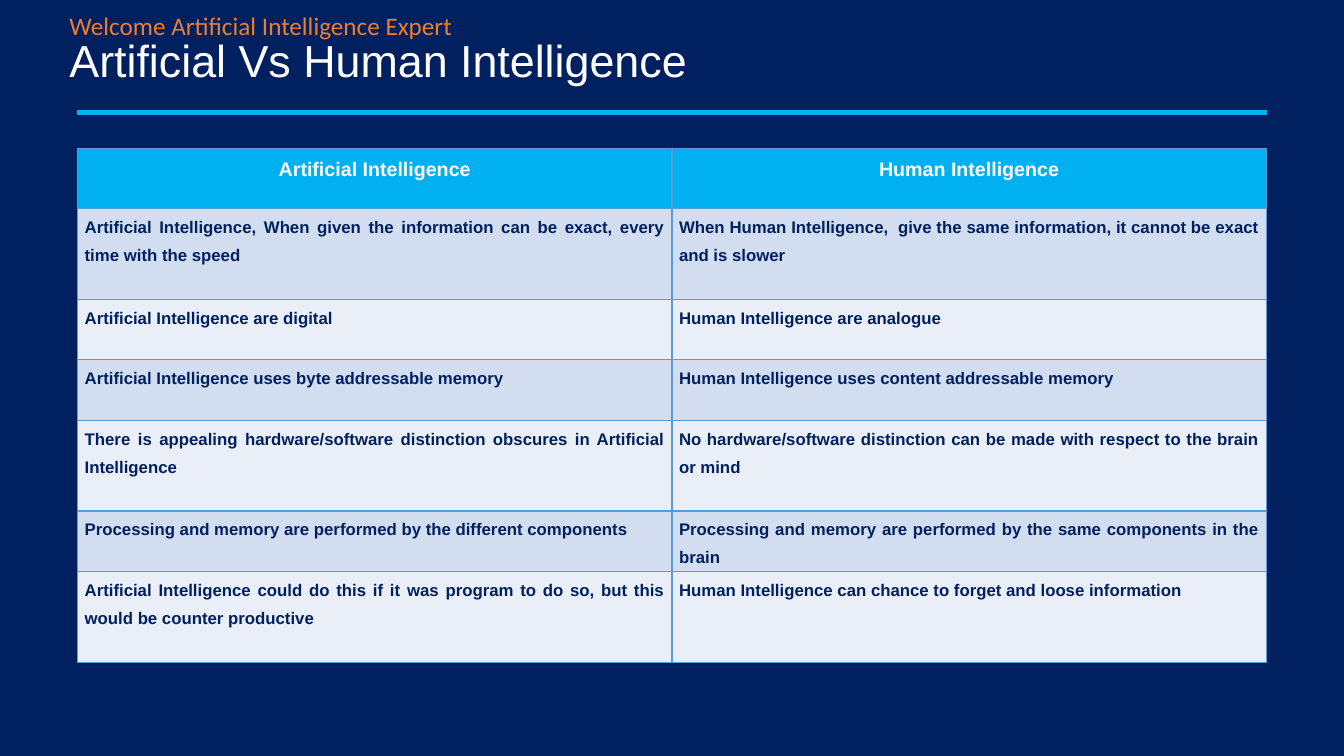
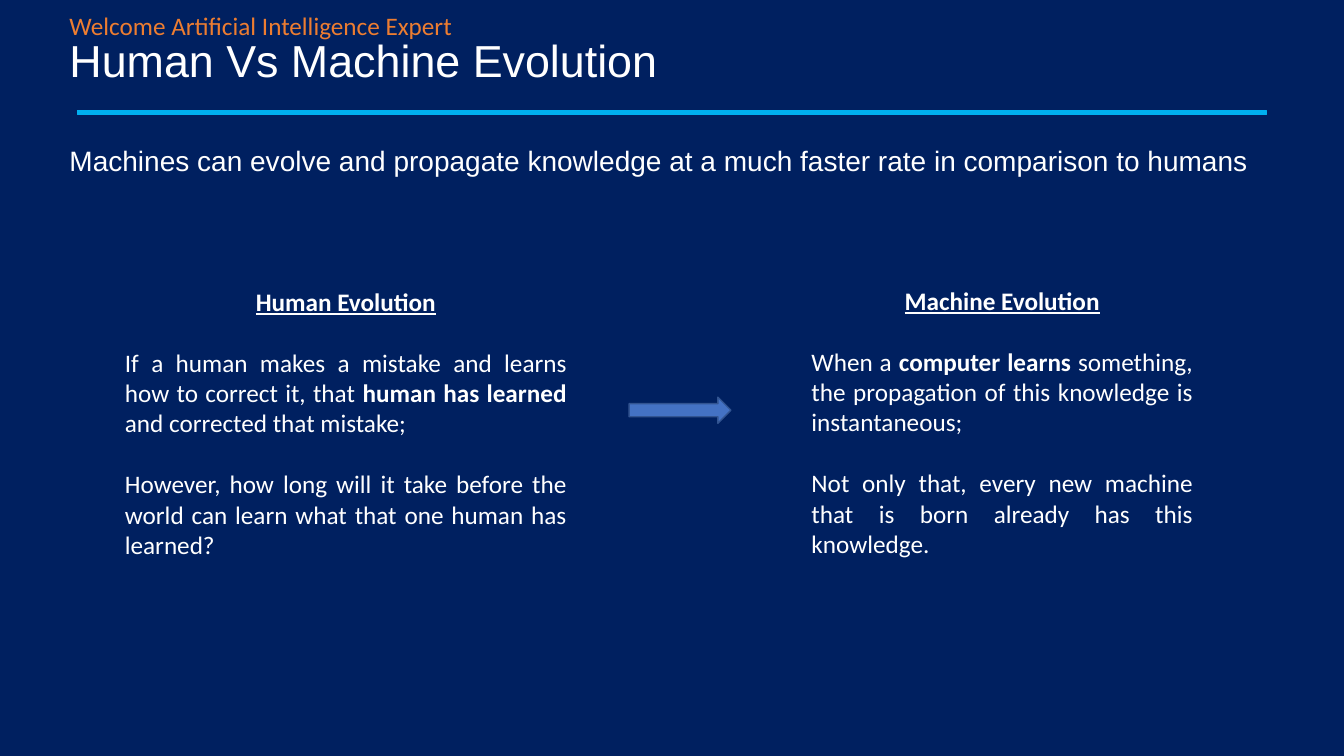
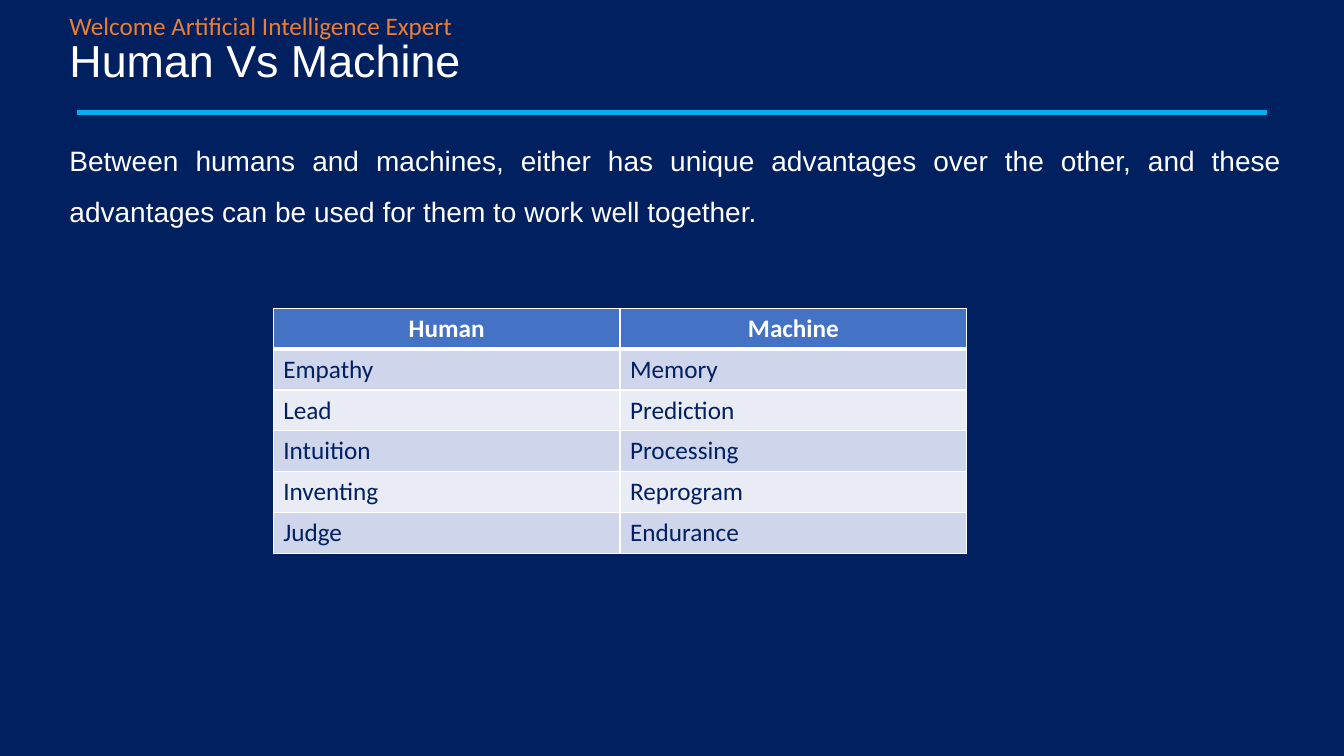
from lxml import etree
from pptx import Presentation
from pptx.dml.color import RGBColor
from pptx.enum.shapes import MSO_SHAPE
from pptx.enum.text import MSO_ANCHOR, PP_ALIGN
from pptx.oxml.ns import qn
from pptx.util import Inches, Pt

RECT, RIGHT_ARROW = MSO_SHAPE.RECTANGLE, MSO_SHAPE.RIGHT_ARROW
TOP, MIDDLE = MSO_ANCHOR.TOP, MSO_ANCHOR.MIDDLE
LEFT, CENTER, JUSTIFY = PP_ALIGN.LEFT, PP_ALIGN.CENTER, PP_ALIGN.JUSTIFY

NAVY, CYAN, WHITE, ORANGE, BLUE = "002060", "00B0F0", "FFFFFF", "ED7D31", "4472C4"
KICKER = "Welcome Artificial Intelligence Expert"

TITLE_FONT = dict(name="Arial", size=Pt(32), color=WHITE)
BODY_FONT = dict(name="Arial", size=Pt(20), color=WHITE)
KICKER_FONT = dict(name="Calibri", size=Pt(18), color=ORANGE)
PANEL_FONT = dict(name="Calibri", size=Pt(18), color=WHITE)
PANEL_HEAD_FONT = dict(PANEL_FONT, bold=True, underline=True)

INTELLIGENCE_ROWS = [
    ("Artificial Intelligence", "Human Intelligence"),
    ("Artificial Intelligence, When given the information can be exact, every time with the speed",
     "When Human Intelligence,  give the same information, it cannot be exact and is slower"),
    ("Artificial Intelligence are digital", "Human Intelligence are analogue"),
    ("Artificial Intelligence uses byte addressable memory",
     "Human Intelligence uses content addressable memory"),
    ("There is appealing hardware/software distinction obscures in Artificial Intelligence",
     "No hardware/software distinction can be made with respect to the brain or mind"),
    ("Processing and memory are performed by the different components",
     "Processing and memory are performed by the same components in the brain"),
    ("Artificial Intelligence could do this if it was program to do so, "
     "but this would be counter productive",
     "Human Intelligence can chance to forget and loose information"),
]
INTELLIGENCE_STYLE = dict(
    head=dict(name="Arial", size=Pt(14), color=WHITE, bold=True),
    cell=dict(name="Arial", size=Pt(12), color=NAVY, bold=True),
    fills=(CYAN, "D2DEEF", "EAEFF7"), align=JUSTIFY, spacing=1.5,
    margins=(0.07, 0), border="5B9BD5", head_rule=1)

STRENGTH_ROWS = [
    ("Human", "Machine"),
    ("Empathy", "Memory"),
    ("Lead", "Prediction"),
    ("Intuition", "Processing"),
    ("Inventing", "Reprogram"),
    ("Judge", "Endurance"),
]
STRENGTH_STYLE = dict(
    head=dict(PANEL_FONT, bold=True), cell=dict(PANEL_FONT, color=NAVY, bold=False),
    fills=(BLUE, "CFD5EA", "E9EBF5"), align=LEFT, spacing=1.0,
    margins=(0.1, 0.05), border=WHITE, head_rule=3)

EVOLUTION_PANELS = [
    ((1.14, 2.79, 4.58, 2.83), "Human Evolution", [
        [("If a human makes a mistake and learns how to correct it, that ", False),
         ("human has learned ", True), ("and corrected that mistake;", False)],
        [("However, how long will it take before the world can learn "
          "what that one human has learned?", False)]]),
    ((7.95, 2.78, 3.98, 2.83), "Machine Evolution", [
        [("When a ", False), ("computer learns", True),
         (" something, the propagation of this knowledge is instantaneous;", False)],
        [("Not only that, every new machine that is born already has this knowledge.", False)]]),
]


def rgb(value):
    """Turn a hex string into a colour."""
    return RGBColor.from_string(value)


def add_run(p, text, font):
    """Add a run formatted from a dict."""
    r = p.add_run()
    r.text = text
    for key, value in font.items():
        if key == "color":
            r.font.color.rgb = rgb(value)
        else:
            setattr(r.font, key, value)


def add_text(slide, box, paragraphs, anchor=TOP):
    """Add a text box; each paragraph is (runs, paragraph format)."""
    tf = slide.shapes.add_textbox(*map(Inches, box)).text_frame
    tf.word_wrap, tf.vertical_anchor = True, anchor
    for i, (runs, layout) in enumerate(paragraphs):
        p = tf.add_paragraph() if i else tf.paragraphs[0]
        for key, value in layout.items():
            setattr(p, key, value)
        for text, font in runs:
            add_run(p, text, font)


def add_block(slide, kind, box, fill, line, width):
    """Add a filled preset shape."""
    sp = slide.shapes.add_shape(kind, *map(Inches, box))
    sp.shadow.inherit = False
    sp.fill.solid()
    sp.fill.fore_color.rgb = rgb(fill)
    sp.line.color.rgb = rgb(line)
    sp.line.width = Pt(width)


def set_borders(cell, color, widths):
    """Draw the left, right, top and bottom borders of a cell."""
    tc_pr = cell._tc.get_or_add_tcPr()
    for i, (side, width) in enumerate(zip("LRTB", widths)):
        ln = etree.Element(qn(f"a:ln{side}"), w=str(Pt(width)))
        fill = etree.SubElement(ln, qn("a:solidFill"))
        etree.SubElement(fill, qn("a:srgbClr"), val=color)
        tc_pr.insert(i, ln)


def add_grid(slide, left, top, width, heights, rows, style):
    """Add a two-tone table with a header row."""
    columns = len(rows[0])
    table = slide.shapes.add_table(
        len(rows), columns, *map(Inches, (left, top, width, sum(heights)))).table
    table.horz_banding = False
    for column in table.columns:
        column.width = Inches(width / columns)
    head_fill, *bands = style["fills"]
    side, edge = map(Inches, style["margins"])
    for i, values in enumerate(rows):
        table.rows[i].height = Inches(heights[i])
        rules = (style["head_rule"] if i == 1 else 1, style["head_rule"] if i == 0 else 1)
        for j, text in enumerate(values):
            cell = table.cell(i, j)
            cell.margin_left = cell.margin_right = side
            cell.margin_top = cell.margin_bottom = edge
            cell.fill.solid()
            cell.fill.fore_color.rgb = rgb(bands[(i - 1) % 2] if i else head_fill)
            set_borders(cell, style["border"], (1, 1, *rules))
            p = cell.text_frame.paragraphs[0]
            p.alignment = style["align"] if i else CENTER
            p.line_spacing = style["spacing"]
            add_run(p, text, style["cell" if i else "head"])


def add_slide(prs, title, body=None):
    """Add a slide with the shared header and optional lead text."""
    slide = prs.slides.add_slide(prs.slide_layouts[6])
    add_text(slide, (0.59, 0.23, 12.22, 0.79),
             [([(title, TITLE_FONT)], dict(line_spacing=0.9))], MIDDLE)
    if body:
        add_text(slide, (0.59, 1.21, 12.22, 5.98),
                 [([(body, BODY_FONT)], dict(alignment=JUSTIFY, line_spacing=1.5))])
    add_block(slide, RECT, (0.77, 1.1, 11.79, 0.04), CYAN, CYAN, 0.75)
    add_text(slide, (0.59, 0.05, 4.12, 0.4), [([(KICKER, KICKER_FONT)], {})])
    return slide


def main():
    """Build the deck."""
    prs = Presentation()
    prs.slide_width, prs.slide_height = Inches(13.33), Inches(7.5)
    background = prs.slide_master.background.fill
    background.solid()
    background.fore_color.rgb = rgb(NAVY)

    slide = add_slide(prs, "Artificial Vs Human Intelligence")
    add_grid(slide, 0.77, 1.47, 11.79, (0.6, 0.9, 0.6, 0.6, 0.9, 0.6, 0.9),
             INTELLIGENCE_ROWS, INTELLIGENCE_STYLE)

    slide = add_slide(prs, "Human Vs Machine Evolution",
                      "Machines can evolve and propagate knowledge at a much faster rate "
                      "in comparison to humans")
    for box, heading, texts in EVOLUTION_PANELS:
        paragraphs = [([(heading, PANEL_HEAD_FONT)], dict(alignment=CENTER))]
        for runs in texts:
            paragraphs.append(([(text, dict(PANEL_FONT, bold=bold)) for text, bold in runs],
                               dict(alignment=JUSTIFY, space_before=Pt(22))))
        add_text(slide, box, paragraphs)
    add_block(slide, RIGHT_ARROW, (6.24, 3.94, 1.01, 0.26), BLUE, "325491", 1)

    slide = add_slide(prs, "Human Vs Machine",
                      "Between humans and machines, either has unique advantages over the other, "
                      "and these advantages can be used for them to work well together.")
    count = len(STRENGTH_ROWS)
    add_grid(slide, 2.71, 3.06, 6.88, [2.43 / count] * count, STRENGTH_ROWS, STRENGTH_STYLE)

    prs.save("out.pptx")


if __name__ == "__main__":
    main()
